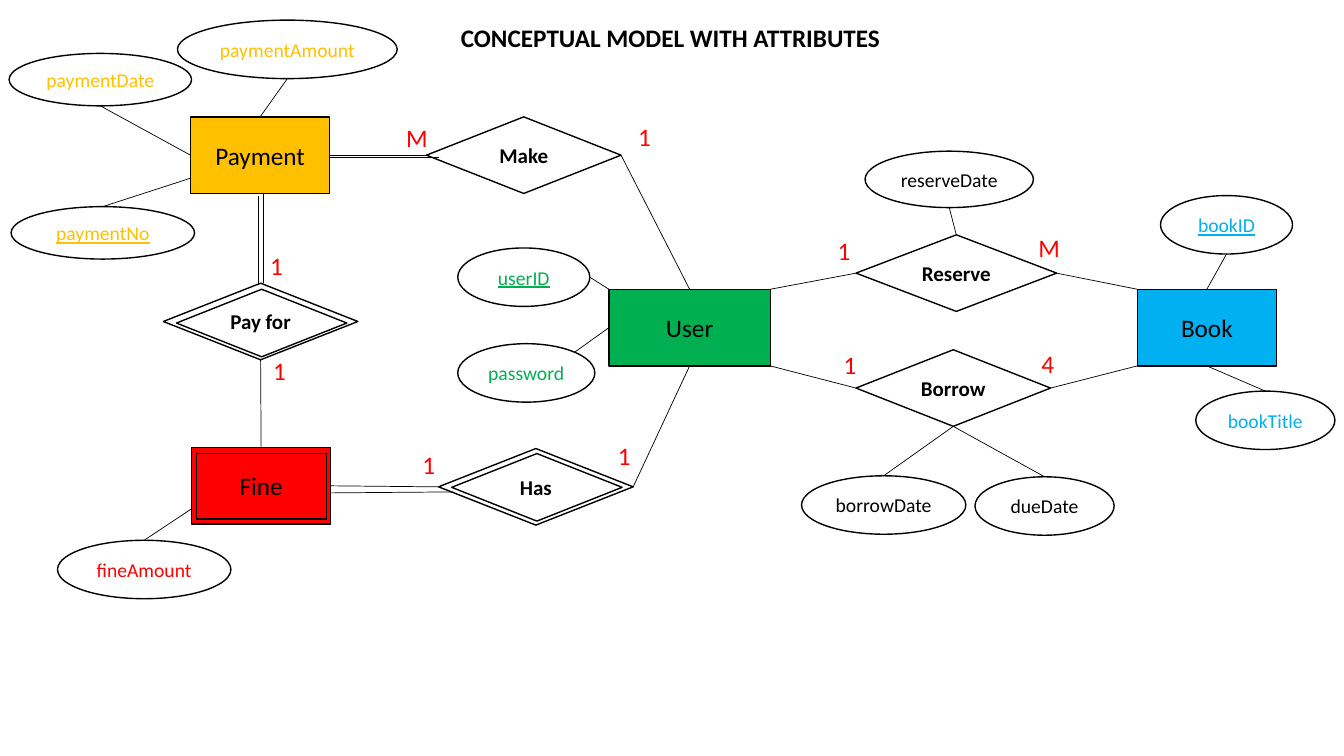
from lxml import etree
from pptx import Presentation
from pptx.dml.color import RGBColor
from pptx.enum.shapes import MSO_CONNECTOR, MSO_SHAPE as Preset
from pptx.enum.text import MSO_ANCHOR, MSO_AUTO_SIZE, PP_ALIGN
from pptx.oxml.ns import qn
from pptx.util import Inches, Pt

COLORS = {
    "black": "000000", "white": "FFFFFF", "red": "FF0000",
    "green": "00B050", "amber": "FFC000", "sky": "00B0F0",
}
FORMATS = {
    "title": {"name": "Calibri", "size": Pt(18), "bold": True},
    "entity": {"name": "Calibri", "size": Pt(18)},
    "relation": {"name": "Calibri", "size": Pt(15), "bold": True},
    "attribute": {"name": "Calibri", "size": Pt(14)},
    "key": {"name": "Calibri", "size": Pt(14), "underline": True},
    "cardinality": {"name": "Calibri", "size": Pt(18)},
}
SHAPE_FRAME = {
    "word_wrap": True, "vertical_anchor": MSO_ANCHOR.MIDDLE,
    "margin_left": 0, "margin_right": 0,
}
LABEL_FRAME = {
    "word_wrap": False, "vertical_anchor": MSO_ANCHOR.TOP,
    "auto_size": MSO_AUTO_SIZE.SHAPE_TO_FIT_TEXT,
}
SIDES = {
    "top": (0.5, 0), "left": (0, 0.5), "bottom": (0.5, 1), "right": (1, 0.5),
    "top left": (0, 0), "top right": (1, 0),
    "bottom left": (0, 1), "bottom right": (1, 1),
    "lower left": (0, 0.8), "round top right": (0.85, 0.15),
}
SITES = {"top": 0, "left": 1, "bottom": 2, "right": 3}

ENTITIES = [
    ("User", 6.04, 2.87, 1.6, "green"),
    ("Payment", 1.89, 1.16, 1.38, "amber"),
    ("Book", 11.28, 2.87, 1.38, "sky"),
    ("Fine", 1.9, 4.44, 1.38, "red"),
]
RELATIONS = [
    ("Reserve", 8.49, 2.33, 1.99),
    ("Borrow", 8.49, 3.47, 1.93),
    ("Has", 4.35, 4.45, 1.93),
    ("Pay for", 1.62, 2.81, 1.93),
    ("Make", 4.23, 1.16, 1.93),
]
BLOCK_HEIGHT = 0.76
INNER_OUTLINES = [
    (Preset.RECTANGLE, (1.95, 4.5, 1.29, 0.65)),
    (Preset.DIAMOND, (4.48, 4.5, 1.69, 0.67)),
    (Preset.DIAMOND, (1.75, 2.87, 1.69, 0.67)),
]
ATTRIBUTES = [
    ("bookID", (11.51, 1.94, 1.31, 0.58), "sky", "key"),
    ("password", (4.54, 3.41, 1.36, 0.58), "green", "attribute"),
    ("userID", (4.54, 2.46, 1.31, 0.58), "green", "key"),
    ("reserveDate", (8.58, 1.5, 1.67, 0.56), "black", "attribute"),
    ("borrowDate", (7.95, 4.72, 1.63, 0.58), "black", "attribute"),
    ("dueDate", (9.67, 4.73, 1.38, 0.58), "black", "attribute"),
    ("fineAmount", (0.57, 5.36, 1.72, 0.58), "red", "attribute"),
    ("paymentAmount", (1.76, 0.2, 2.18, 0.58), "amber", "attribute"),
    ("paymentDate", (0.09, 0.53, 1.81, 0.52), "amber", "attribute"),
    ("bookTitle", (11.86, 3.88, 1.38, 0.58), "sky", "attribute"),
    ("paymentNo", (0.11, 2.05, 1.82, 0.52), "amber", "key"),
]
CARDINALITIES = [
    ("1", 6.03, 4.32), ("M", 3.93, 1.16), ("1", 8.21, 2.29), ("M", 10.2, 2.26),
    ("4", 10.23, 3.41), ("1", 8.27, 3.42), ("1", 6.23, 1.15), ("1", 4.09, 4.41),
    ("1", 2.58, 2.43), ("1", 2.61, 3.48),
]
LINKS = [
    ("User", "top right", "Reserve", "left"),
    ("User", "bottom right", "Borrow", "left"),
    ("Reserve", "right", "Book", "top left"),
    ("Borrow", "right", "Book", "bottom left"),
    ("User", "top", "Make", "right"),
    ("Payment", "right", "Make", "left"),
    ("Pay for", "bottom", "Fine", "top"),
    ("Fine", "right", "Has", "left"),
    ("Has", "right", "User", "bottom"),
    ("paymentDate", "bottom", "Payment", "left"),
    ("paymentAmount", "bottom", "Payment", "top"),
    ("paymentNo", "top", "Payment", "lower left"),
    ("fineAmount", "top", "Fine", "lower left"),
    ("password", "round top right", "User", "left"),
    ("userID", "right", "User", "top left"),
    ("reserveDate", "bottom", "Reserve", "top"),
    ("borrowDate", "top", "Borrow", "bottom"),
    ("Borrow", "bottom", "dueDate", "top"),
    ("Book", "bottom", "bookTitle", "top"),
    ("Book", "top", "bookID", "bottom"),
]
DOUBLE_STROKES = [
    (2.61, 1.92, 2.61, 2.81),
    (2.56, 1.94, 2.56, 2.83),
    (3.26, 1.56, 4.35, 1.56),
    (3.28, 4.89, 4.5, 4.88),
]


def rgb(color):
    return RGBColor.from_string(COLORS[color])


def apply(target, values):
    for attribute, value in values.items():
        setattr(target, attribute, value)


def write(frame, text, style, color, align, layout):
    apply(frame, layout)
    paragraph = frame.paragraphs[0]
    paragraph.alignment = align
    run = paragraph.add_run()
    run.text = text
    apply(run.font, FORMATS[style])
    run.font.color.rgb = rgb(color)


def add_outline(slide, preset, box, fill=None):
    outline = slide.shapes.add_shape(preset, *map(Inches, box))
    outline.shadow.inherit = False
    outline.line.color.rgb = rgb("black")
    outline.line.width = Pt(1)
    if fill:
        outline.fill.solid()
        outline.fill.fore_color.rgb = rgb(fill)
    else:
        outline.fill.background()
    return outline


def add_node(slide, preset, box, text, style, fill="white", color="black"):
    node = add_outline(slide, preset, box, fill)
    write(node.text_frame, text, style, color, PP_ALIGN.CENTER, SHAPE_FRAME)
    return node


def add_cardinality(slide, text, left, top):
    width = 0.42 if text == "M" else 0.33
    label = slide.shapes.add_textbox(*map(Inches, (left, top, width, 0.4)))
    write(label.text_frame, text, "cardinality", "red", PP_ALIGN.LEFT, LABEL_FRAME)


def add_stroke(slide, *ends):
    stroke = slide.shapes.add_connector(MSO_CONNECTOR.STRAIGHT, *ends)
    stroke.line.color.rgb = rgb("black")
    stroke.line.width = Pt(0.5)
    etree.SubElement(stroke.element.spPr, qn("a:effectLst"))
    return stroke


def spot(node, side):
    across, down = SIDES[side]
    return int(node.left + node.width * across), int(node.top + node.height * down)


def add_link(slide, start, start_side, end, end_side):
    stroke = add_stroke(slide, *spot(start, start_side), *spot(end, end_side))
    for node, side, glue in ((start, start_side, stroke.begin_connect),
                             (end, end_side, stroke.end_connect)):
        if side in SITES and node.auto_shape_type != Preset.OVAL:
            glue(node, SITES[side])


def add_title(slide, text):
    title = slide.shapes.title
    place = dict(zip(("left", "top", "width", "height"),
                     map(Inches, (4.47, 0.17, 4.4, 0.4))))
    apply(title, place)
    write(title.text_frame, text, "title", "black", PP_ALIGN.LEFT, LABEL_FRAME)


def main():
    deck = Presentation()
    apply(deck, {"slide_width": Inches(13.33), "slide_height": Inches(7.5)})
    slide = deck.slides.add_slide(deck.slide_layouts[5])
    add_title(slide, "CONCEPTUAL MODEL WITH ATTRIBUTES")
    nodes = {}
    for name, left, top, width, fill in ENTITIES:
        box = (left, top, width, BLOCK_HEIGHT)
        nodes[name] = add_node(slide, Preset.RECTANGLE, box, name, "entity", fill)
    for name, left, top, width in RELATIONS:
        box = (left, top, width, BLOCK_HEIGHT)
        nodes[name] = add_node(slide, Preset.DIAMOND, box, name, "relation")
    for name, box, color, style in ATTRIBUTES:
        nodes[name] = add_node(slide, Preset.OVAL, box, name, style, color=color)
    for preset, box in INNER_OUTLINES:
        add_outline(slide, preset, box)
    for start, start_side, end, end_side in LINKS:
        add_link(slide, nodes[start], start_side, nodes[end], end_side)
    for ends in DOUBLE_STROKES:
        add_stroke(slide, *map(Inches, ends))
    for cardinality in CARDINALITIES:
        add_cardinality(slide, *cardinality)
    deck.save("out.pptx")


main()
